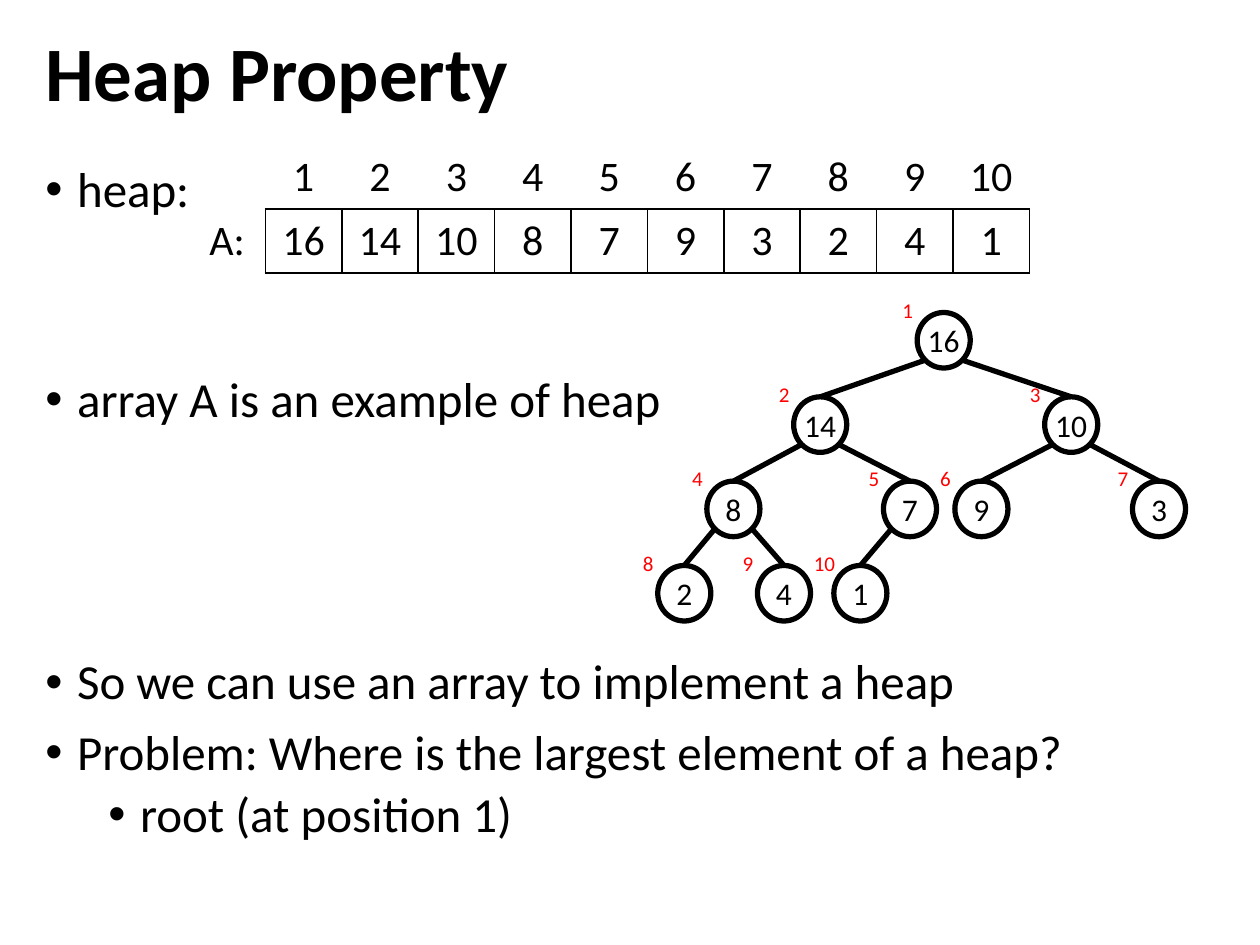
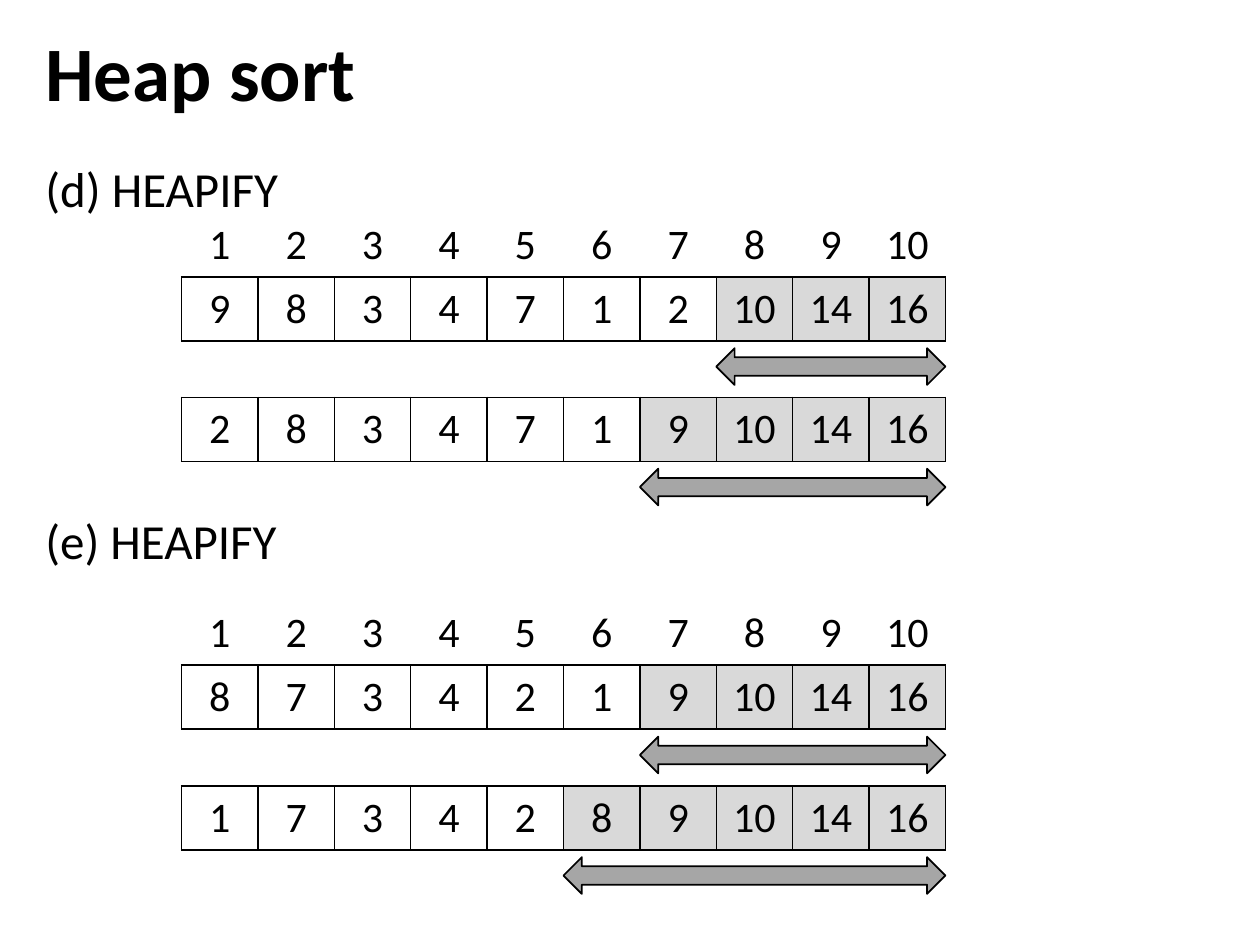
from lxml.etree import SubElement
from pptx import Presentation
from pptx.dml.color import RGBColor
from pptx.enum.shapes import MSO_CONNECTOR, MSO_SHAPE
from pptx.enum.text import MSO_ANCHOR, MSO_AUTO_SIZE, PP_ALIGN
from pptx.oxml.ns import qn
from pptx.util import Cm, Pt

FONT = "Calibri"
BLACK, RED = "000000", "FF0000"
SORTED_FILL, ARROW_FILL = "D9D9D9", "A6A6A6"

# Array measures, in centimetres
CELL_WIDTH, CELL_HEIGHT = 1.54, 1.29
ARROW_GAP, ARROW_HEIGHT = 0.15, 0.74
STEP_PITCH = 3.72

# Tree measures, in centimetres
NODE_WIDTH, NODE_HEIGHT = 1.07, 1.12
LEVEL_PITCH = 1.7
NODE_LEFTS = [5.23, 2.74, 7.8, 0.99, 4.55, 5.99, 9.57, 0, 2.01, 3.55]

HEAP = [16, 14, 10, 8, 7, 9, 3, 2, 4, 1]


def color(hex_string):
    return RGBColor.from_string(hex_string)


def style_paragraph(paragraph, size, hex_string=BLACK, bold=False, align=PP_ALIGN.CENTER):
    paragraph.alignment = align
    font = paragraph.font
    font.name, font.size, font.bold = FONT, Pt(size), bold
    font.color.rgb = color(hex_string)


def place(shape, left, top, width, height):
    shape.left, shape.top = Cm(left), Cm(top)
    shape.width, shape.height = Cm(width), Cm(height)


# Title and body text
def set_bullet(paragraph, level, bulleted):
    properties = paragraph._p.get_or_add_pPr()
    indent = Cm(0.64) if bulleted else 0
    properties.set("marL", str(indent + level * Cm(1.27)))
    properties.set("indent", str(-indent))
    if bulleted:
        SubElement(properties, qn("a:buFont"), typeface="Arial")
        SubElement(properties, qn("a:buChar"), char="•")
    else:
        SubElement(properties, qn("a:buNone"))


def add_text_slide(presentation, title_text, items, bulleted):
    """Each item holds its text, its level and the space before it in points."""
    slide = presentation.slides.add_slide(presentation.slide_layouts[1])
    title, body = slide.placeholders
    place(title, 0.66, 0.38, 24.05, 2.34)
    place(body, 0.66, 3.2, 24.05, 15.16)

    title.text_frame.text = title_text
    title.text_frame.vertical_anchor = MSO_ANCHOR.MIDDLE
    heading = title.text_frame.paragraphs[0]
    heading.line_spacing = 0.9
    style_paragraph(heading, 44, bold=True, align=PP_ALIGN.LEFT)

    frame = body.text_frame
    frame.text = "\n".join(text for text, _, _ in items)
    for paragraph, (_, level, space_before) in zip(frame.paragraphs, items):
        paragraph.level = level
        set_bullet(paragraph, level, bulleted)
        paragraph.line_spacing = 0.9
        paragraph.space_before = Pt(space_before)
        style_paragraph(paragraph, 28, align=PP_ALIGN.LEFT)
    for text_frame in (title.text_frame, frame):
        text_frame.auto_size = MSO_AUTO_SIZE.NONE
    return slide


# Arrays
def set_borders(cell, black_sides):
    properties = cell._tc.get_or_add_tcPr()
    for side in "LRTB":
        line = SubElement(properties, qn(f"a:ln{side}"), w=str(Pt(1)))
        if side in black_sides:
            fill = SubElement(line, qn("a:solidFill"))
            SubElement(fill, qn("a:srgbClr"), val=BLACK)
        else:
            SubElement(line, qn("a:noFill"))


def fill_cell(cell, text, black_sides, shade=None):
    set_borders(cell, black_sides)
    if shade:
        cell.fill.solid()
        cell.fill.fore_color.rgb = color(shade)
    else:
        cell.fill.background()
    cell.vertical_anchor = MSO_ANCHOR.MIDDLE
    cell.text = str(text)
    style_paragraph(cell.text_frame.paragraphs[0], 24)


def add_array(slide, left, top, values, sorted_count=0, indexed=True, label=None):
    """Draws the values, with an index row above and a label column before if wanted."""
    label_columns = 1 if label else 0
    columns, rows = len(values) + label_columns, 2 if indexed else 1
    table = slide.shapes.add_table(
        rows, columns, Cm(left), Cm(top),
        Cm(columns * CELL_WIDTH), Cm(rows * CELL_HEIGHT)).table
    table.first_row = table.horz_banding = False
    for column in table.columns:
        column.width = Cm(CELL_WIDTH)
    for row in table.rows:
        row.height = Cm(CELL_HEIGHT)

    if label:
        fill_cell(table.cell(0, 0), "", "")
        fill_cell(table.cell(rows - 1, 0), label, "R")
    first_sorted = len(values) - sorted_count
    for position, value in enumerate(values):
        column = position + label_columns
        if indexed:
            fill_cell(table.cell(0, column), position + 1, "B")
        shade = SORTED_FILL if position >= first_sorted else None
        fill_cell(table.cell(rows - 1, column), value, "LRTB", shade)

    # Arrow under the sorted part
    if sorted_count:
        arrow = slide.shapes.add_shape(
            MSO_SHAPE.LEFT_RIGHT_ARROW,
            Cm(left + first_sorted * CELL_WIDTH),
            Cm(top + rows * CELL_HEIGHT + ARROW_GAP),
            Cm(sorted_count * CELL_WIDTH), Cm(ARROW_HEIGHT))
        arrow.shadow.inherit = False
        arrow.fill.solid()
        arrow.fill.fore_color.rgb = color(ARROW_FILL)
        arrow.line.color.rgb = color(BLACK)
        arrow.line.width = Pt(1)


def add_heapify_step(slide, left, top, heap, swapped, sorted_count):
    add_array(slide, left, top, heap, sorted_count)
    add_array(slide, left, top + STEP_PITCH, swapped, sorted_count + 1, indexed=False)


# Binary tree
def add_edge(slide, start, end):
    edge = slide.shapes.add_connector(
        MSO_CONNECTOR.STRAIGHT, *(Cm(length) for length in (*start, *end)))
    edge.line.color.rgb = color(BLACK)
    edge.line.width = Pt(3)
    SubElement(edge._element.spPr, qn("a:effectLst"))


def add_node(slide, left, top, value, index):
    node = slide.shapes.add_shape(
        MSO_SHAPE.OVAL, Cm(left), Cm(top), Cm(NODE_WIDTH), Cm(NODE_HEIGHT))
    node.shadow.inherit = False
    node.fill.background()
    node.line.color.rgb = color(BLACK)
    node.line.width = Pt(3)
    frame = node.text_frame
    frame.margin_left = frame.margin_right = frame.margin_top = frame.margin_bottom = 0
    frame.vertical_anchor = MSO_ANCHOR.MIDDLE

    index_box = slide.shapes.add_textbox(
        Cm(left - 0.66), Cm(top - 0.43), Cm(0.94), Cm(0.76))
    for shape, text, size, hex_string in (
            (node, value, 18, BLACK), (index_box, index, 12, RED)):
        shape.text_frame.word_wrap = False
        shape.text_frame.text = str(text)
        style_paragraph(shape.text_frame.paragraphs[0], size, hex_string)


def add_tree(slide, left, top, values):
    corners = {
        index: (left + node_left, top + (index.bit_length() - 1) * LEVEL_PITCH)
        for index, node_left in enumerate(NODE_LEFTS, start=1)}
    for index, (node_left, node_top) in corners.items():
        if index > 1:
            parent_left, parent_top = corners[index // 2]
            side = 0.85 if index % 2 else 0.15
            add_edge(slide, (parent_left + side * NODE_WIDTH, parent_top + 0.96),
                     (node_left + NODE_WIDTH / 2, node_top))
    for index, value in enumerate(values, start=1):
        add_node(slide, *corners[index], value, index)


# Slides
def add_heap_property_slide(presentation):
    slide = add_text_slide(presentation, "Heap Property", [
        ("heap:", 0, 0),
        ("array A is an example of heap", 0, 90),
        ("So we can use an array to implement a heap", 0, 131),
        ("Problem: Where is the largest element of a heap?", 0, 10),
        ("root (at position 1)", 1, 5),
    ], bulleted=True)
    add_array(slide, 3.81, 2.92, HEAP, label="A:")
    add_tree(slide, 13.26, 6.3, HEAP)


def add_heap_sort_slide(presentation):
    slide = add_text_slide(presentation, "Heap sort", [
        ("(d) HEAPIFY", 0, 0),
        ("(e) HEAPIFY", 0, 171),
    ], bulleted=False)
    add_heapify_step(slide, 3.66, 4.29, [9, 8, 3, 4, 7, 1, 2, 10, 14, 16],
                     [2, 8, 3, 4, 7, 1, 9, 10, 14, 16], sorted_count=3)
    add_heapify_step(slide, 3.66, 12.12, [8, 7, 3, 4, 2, 1, 9, 10, 14, 16],
                     [1, 7, 3, 4, 2, 8, 9, 10, 14, 16], sorted_count=4)


def main():
    presentation = Presentation()
    presentation.slide_width, presentation.slide_height = Cm(25.4), Cm(19.05)
    add_heap_property_slide(presentation)
    add_heap_sort_slide(presentation)
    presentation.save("out.pptx")


if __name__ == "__main__":
    main()
